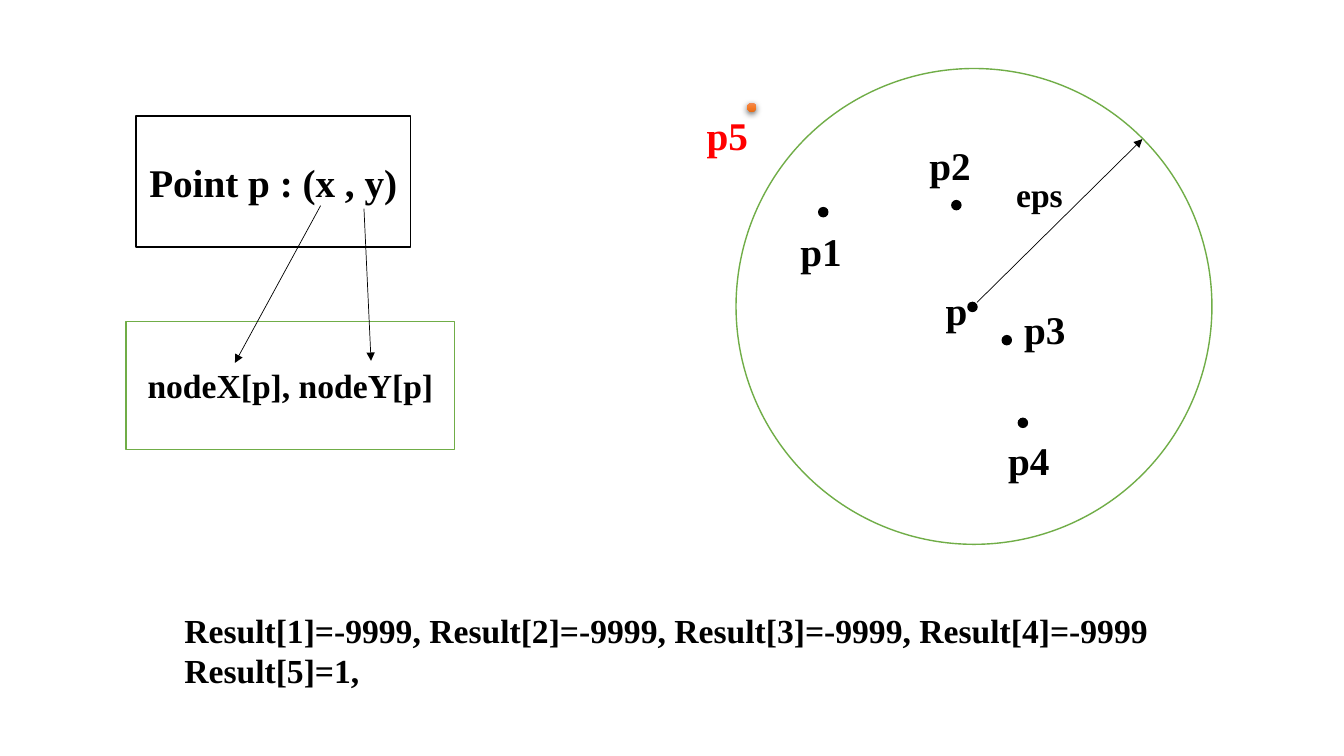
from lxml.etree import SubElement
from pptx import Presentation
from pptx.dml.color import RGBColor
from pptx.enum.shapes import MSO_CONNECTOR, MSO_SHAPE
from pptx.enum.text import MSO_ANCHOR, MSO_AUTO_SIZE, PP_ALIGN
from pptx.oxml import parse_xml
from pptx.oxml.ns import nsdecls, qn
from pptx.util import Inches, Pt

BLACK = RGBColor(0x00, 0x00, 0x00)
WHITE = RGBColor(0xFF, 0xFF, 0xFF)
GREEN = RGBColor(0x70, 0xAD, 0x47)
RED = RGBColor(0xFF, 0x00, 0x00)
FONT = "Times New Roman"
DOT_SIZE = 0.09

presentation = Presentation()
presentation.slide_width = Inches(13.33)
presentation.slide_height = Inches(7.5)
slide = presentation.slides.add_slide(presentation.slide_layouts[6])


def add_shape(preset, left, top, width, height, fill, line):
    shape = slide.shapes.add_shape(
        preset, Inches(left), Inches(top), Inches(width), Inches(height))
    shape.shadow.inherit = False
    shape.fill.solid()
    shape.fill.fore_color.rgb = fill
    shape.line.color.rgb = line
    shape.line.width = Pt(1)
    return shape


def add_line(paragraph, text, size, color=BLACK):
    run = paragraph.add_run()
    run.text = text
    run.font.name = FONT
    run.font.size = Pt(size)
    run.font.bold = True
    run.font.color.rgb = color


# Boxes: the point and the arrays that hold its coordinates
for text, size, line, box in [
    ("Point p : (x , y)", 28, BLACK, (1.35, 1.15, 2.72, 1.3)),
    ("nodeX[p], nodeY[p]", 24, GREEN, (1.25, 3.19, 3.26, 1.27)),
]:
    shape = add_shape(MSO_SHAPE.RECTANGLE, *box, WHITE, line)
    shape.text_frame.vertical_anchor = MSO_ANCHOR.MIDDLE
    paragraph = shape.text_frame.paragraphs[0]
    paragraph.alignment = PP_ALIGN.CENTER
    add_line(paragraph, text, size)

# Neighbourhood circle
add_shape(MSO_SHAPE.OVAL, 7.3, 0.68, 4.72, 4.72, WHITE, GREEN)

# Arrows: x to nodeX, y to nodeY, and the eps radius
for start_x, start_y, end_x, end_y in [
    (3.18, 2.04, 2.33, 3.6),
    (3.61, 2.07, 3.68, 3.58),
    (9.69, 3, 11.33, 1.38),
]:
    connector = slide.shapes.add_connector(
        MSO_CONNECTOR.STRAIGHT, Inches(start_x), Inches(start_y),
        Inches(end_x), Inches(end_y))
    connector.line.color.rgb = BLACK
    connector.line.width = Pt(0.5)
    SubElement(connector.line._get_or_add_ln(), qn("a:tailEnd"), type="triangle")
    SubElement(connector._element.spPr, qn("a:effectLst"))

# Points p, p2, p3, p4 and p1
for left, top in [(9.6, 3), (9.44, 1.99), (9.94, 3.33), (10.1, 4.15), (8.12, 2.06)]:
    add_shape(MSO_SHAPE.OVAL, left, top, DOT_SIZE, DOT_SIZE, BLACK, BLACK)

# Outlier p5: orange gradient with a soft shadow
outlier = slide.shapes.add_shape(
    MSO_SHAPE.OVAL, Inches(7.41), Inches(1.02), Inches(DOT_SIZE), Inches(DOT_SIZE))
outlier.line.fill.background()
properties = outlier._element.spPr
stops = "".join(
    f'<a:gs pos="{position}"><a:srgbClr val="{color}"/></a:gs>'
    for position, color in [(0, "F18C57"), (50000, "F67B28"), (100000, "E56C19")])
gradient = parse_xml(
    f'<a:gradFill {nsdecls("a")}><a:gsLst>{stops}</a:gsLst>'
    '<a:lin ang="5400000" scaled="0"/></a:gradFill>')
properties.find(qn("a:ln")).addprevious(gradient)
properties.append(parse_xml(
    f'<a:effectLst {nsdecls("a")}>'
    '<a:outerShdw blurRad="57150" dist="19050" dir="5400000" algn="ctr" rotWithShape="0">'
    '<a:srgbClr val="000000"><a:alpha val="63000"/></a:srgbClr>'
    '</a:outerShdw></a:effectLst>'))

# Labels and result values
for lines, size, color, (left, top, width, height) in [
    (["eps"], 24, BLACK, (9.98, 1.68, 1.05, 0.5)),
    (["p"], 28, BLACK, (9.28, 2.79, 0.44, 0.57)),
    (["p1"], 28, BLACK, (7.84, 2.21, 0.75, 0.57)),
    (["p4"], 28, BLACK, (9.9, 4.28, 0.75, 0.57)),
    (["p3"], 28, BLACK, (10.06, 2.98, 0.75, 0.57)),
    (["p2"], 28, BLACK, (9.12, 1.35, 0.75, 0.57)),
    (["p5"], 28, RED, (6.91, 1.06, 0.75, 0.57)),
    (["Result[1]=-9999, Result[2]=-9999, Result[3]=-9999, Result[4]=-9999",
      "Result[5]=1,"], 24, BLACK, (1.73, 6, 12.21, 0.91)),
]:
    label = slide.shapes.add_textbox(
        Inches(left), Inches(top), Inches(width), Inches(height))
    frame = label.text_frame
    frame.word_wrap = True
    frame.auto_size = MSO_AUTO_SIZE.SHAPE_TO_FIT_TEXT
    for index, text in enumerate(lines):
        paragraph = frame.add_paragraph() if index else frame.paragraphs[0]
        add_line(paragraph, text, size, color)

presentation.save("out.pptx")
